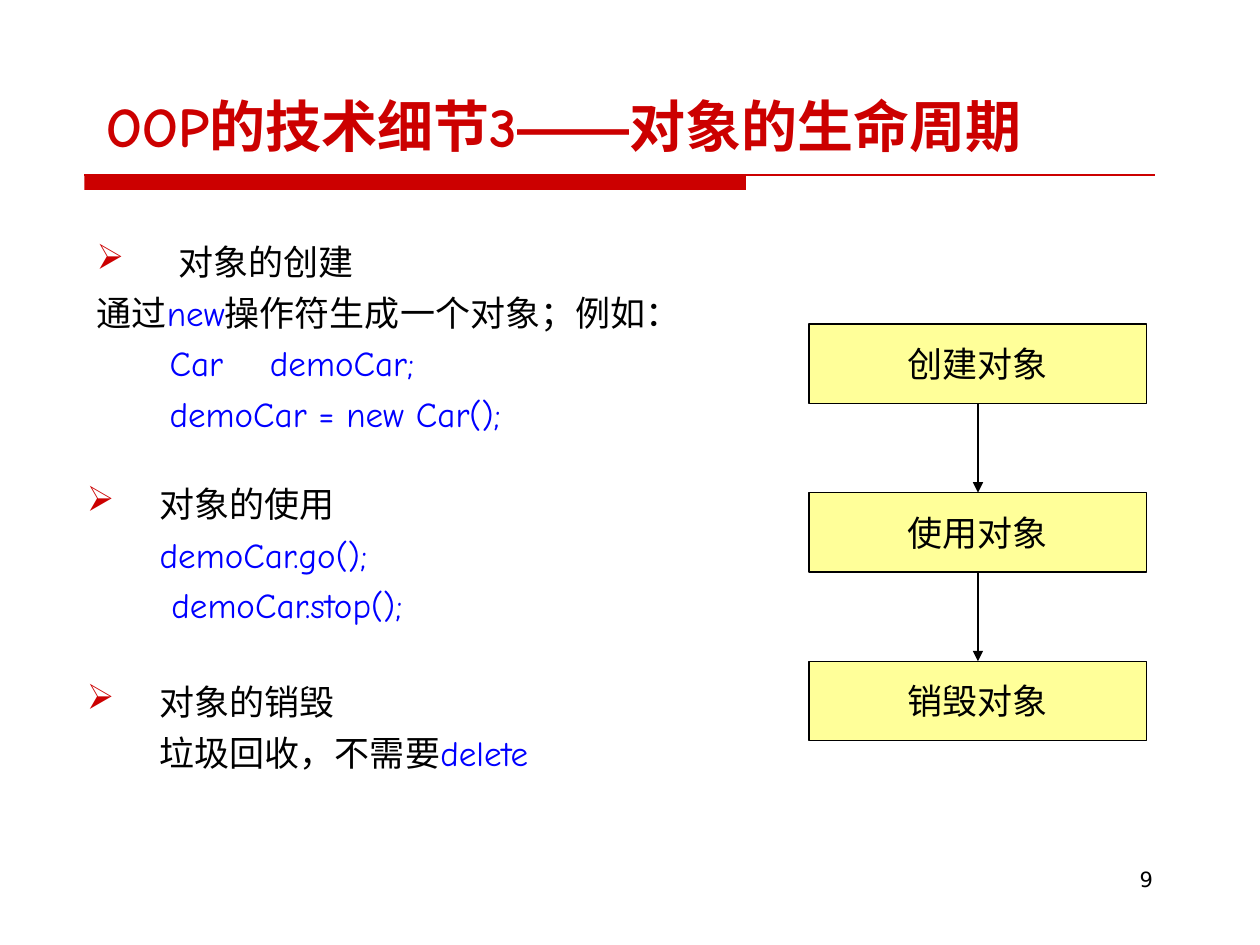
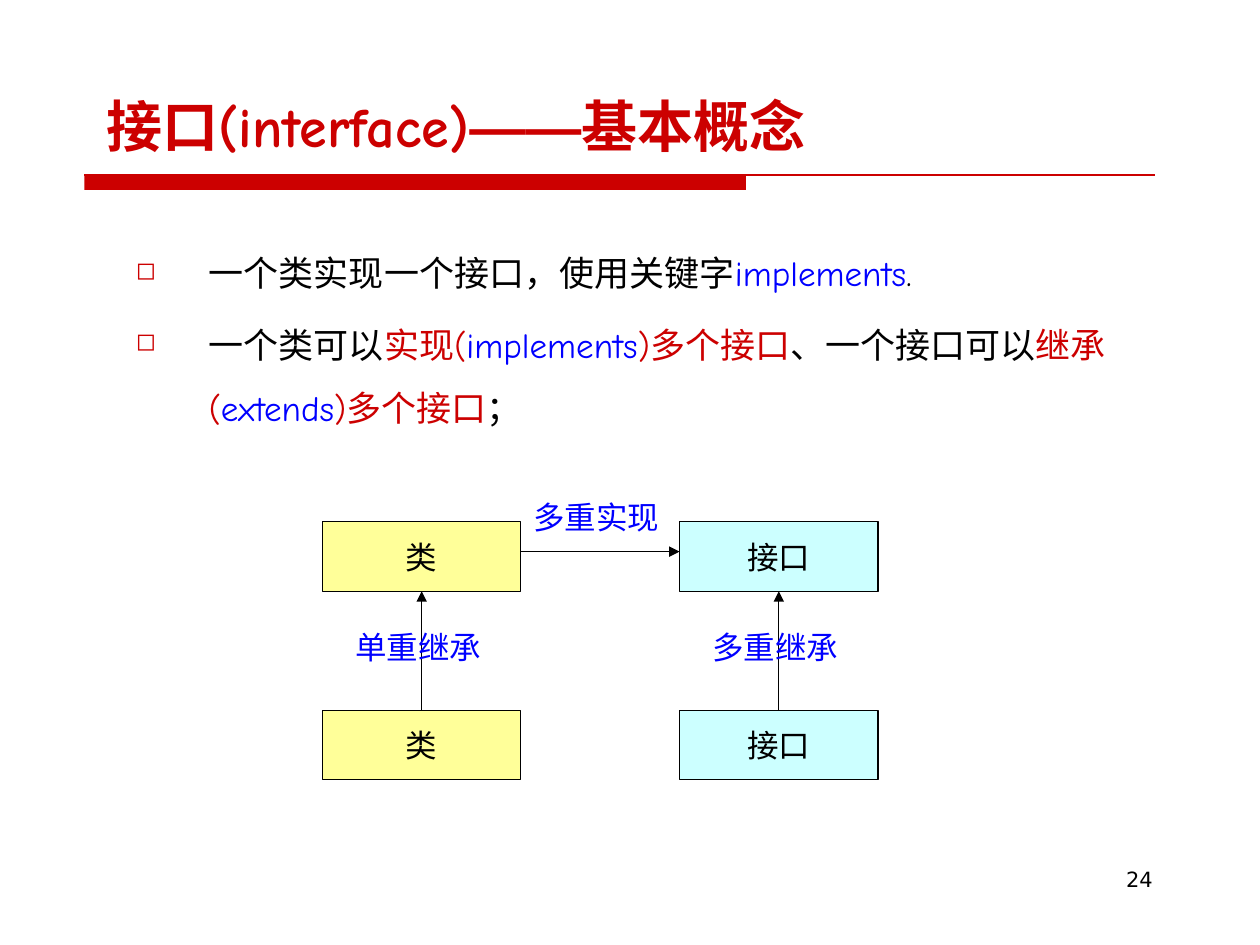
from dataclasses import dataclass

import pptx
import pptx.dml.color
import pptx.enum.lang
import pptx.enum.shapes
import pptx.enum.text
import pptx.oxml
import pptx.oxml.ns
import pptx.util

Cm = pptx.util.Cm
Pt = pptx.util.Pt
ALIGN = pptx.enum.text.PP_ALIGN
ANCHOR = pptx.enum.text.MSO_ANCHOR

RED, BLUE, BLACK = "CC0000", "0000FF", "000000"
YELLOW, CYAN = "FFFF99", "CCFFFF"
BODY_FONT, DASH_FONT, LABEL_FONT = "Comic Neue", "Arial", "DejaVu Sans"
TOP, LEFT, BOTTOM, RIGHT = range(4)
INDENT = 1.47


@dataclass
class Box:
    left: float
    top: float
    width: float
    height: float

    def inner(self, left, top, width, height):
        return Box(self.left + left, self.top + top, width, height)

    def lengths(self):
        return [Cm(n) for n in (self.left, self.top, self.width, self.height)]


def color(value):
    return pptx.dml.color.RGBColor.from_string(value)


def add_xml(parent, tag, **attributes):
    element = pptx.oxml.ns.qn(tag)
    child = parent.makeelement(element, attributes)
    parent.append(child)
    return child


def add_span(para, text, *, size=20, font=BODY_FONT, ink=BLACK, bold=False):
    span = para.add_run()
    span.text = text
    span.font.size = Pt(size)
    span.font.name = font
    span.font.bold = bold
    span.font.color.rgb = color(ink)
    span.font.language_id = pptx.enum.lang.MSO_LANGUAGE_ID.SIMPLIFIED_CHINESE


def add_text_box(page, box, anchor=ANCHOR.TOP):
    frame = page.shapes.add_textbox(*box.lengths()).text_frame
    frame.word_wrap = True
    frame.vertical_anchor = anchor
    return frame


def add_label(page, box, text, *, align=ALIGN.LEFT, **style):
    para = add_text_box(page, box).paragraphs[0]
    para.alignment = align
    add_span(para, text, font=LABEL_FONT, **style)


def set_bullet(para, symbol, indent, size):
    properties = para._p.get_or_add_pPr()
    properties.set("marL", str(Cm(indent)))
    properties.set("indent", str(-Cm(indent)))
    ink = add_xml(properties, "a:buClr")
    add_xml(ink, "a:srgbClr", val=RED)
    add_xml(properties, "a:buSzPct", val=str(size * 1000))
    add_xml(properties, "a:buChar", char=symbol)


def add_paragraph(frame, spans, *, first, bullet=None, indent=0.0, bullet_size=100, spacing=None):
    para = frame.paragraphs[0] if first else frame.add_paragraph()
    if bullet:
        set_bullet(para, bullet, indent, bullet_size)
    else:
        para._p.get_or_add_pPr().set("marL", str(Cm(indent)))
    if not first:
        para.space_before = Pt(5)
    if spacing:
        para.line_spacing = spacing
    for text, ink in spans:
        add_span(para, text, ink=ink)


def add_topic(page, box, heading, lines, heading_indent=INDENT):
    frame = add_text_box(page, box)
    add_paragraph(frame, [(heading, BLACK)], first=True, bullet="➢", indent=heading_indent)
    for indent, spans in lines:
        add_paragraph(frame, spans, first=False, indent=indent)


def add_points(page, box, points):
    frame = add_text_box(page, box)
    for index, spans in enumerate(points):
        add_paragraph(frame, spans, first=index == 0, bullet="◻", indent=INDENT,
                      bullet_size=70, spacing=1.5)


def add_node(page, box, text, *, fill, size):
    node = page.shapes.add_shape(pptx.enum.shapes.MSO_SHAPE.RECTANGLE, *box.lengths())
    node.shadow.inherit = False
    node.fill.solid()
    node.fill.fore_color.rgb = color(fill)
    node.line.color.rgb = color(BLACK)
    node.line.width = Pt(0.75)
    frame = node.text_frame
    frame.word_wrap = False
    frame.vertical_anchor = ANCHOR.MIDDLE
    para = frame.paragraphs[0]
    para.alignment = ALIGN.CENTER
    add_span(para, text, size=size, font=LABEL_FONT)
    return node


def add_line(page, start=(0, 0), end=(0, 0), *, ink=BLACK, arrow=True):
    points = [Cm(n) for n in (*start, *end)]
    line = page.shapes.add_connector(pptx.enum.shapes.MSO_CONNECTOR.STRAIGHT, *points)
    line.line.color.rgb = color(ink)
    line.line.width = Pt(0.75)
    if arrow:
        add_xml(line.line._get_or_add_ln(), "a:tailEnd", type="triangle")
    add_xml(line._element.spPr, "a:effectLst")
    return line


def join(page, source, source_side, target, target_side):
    line = add_line(page)
    line.begin_connect(source, source_side)
    line.end_connect(target, target_side)


def add_title(page, box, spans):
    para = add_text_box(page, box, ANCHOR.BOTTOM).paragraphs[0]
    for text, font in spans:
        add_span(para, text, size=32, font=font, ink=RED, bold=True)


def add_band(page, box):
    band = page.shapes.add_shape(pptx.enum.shapes.MSO_SHAPE.RECTANGLE,
                                 *box.inner(0, 0, 13.34, box.height).lengths())
    band.shadow.inherit = False
    band.fill.solid()
    band.fill.fore_color.rgb = color(RED)
    band.line.fill.background()
    add_line(page, (box.left, box.top), (box.left + box.width, box.top), ink=RED, arrow=False)


def add_page(deck, title, number):
    page = deck.slides.add_slide(deck.slide_layouts[6])
    add_band(page, Box(1.7, 3.53, 21.59, 0.3))
    add_label(page, Box(18.21, 17.35, 5.28, 1.27), number, size=12, align=ALIGN.RIGHT)
    add_title(page, Box(1.9, 1.12, 21.59, 2.21), title)
    return page


def add_life_cycle(page, box, steps):
    height = 1.6
    pitch = (box.height - height) / (len(steps) - 1)
    nodes = [add_node(page, box.inner(0, index * pitch, box.width, height), step,
                      fill=YELLOW, size=20)
             for index, step in enumerate(steps)]
    for upper, lower in zip(nodes, nodes[1:]):
        join(page, upper, BOTTOM, lower, TOP)


def add_inheritance(page, box):
    width, height = 4.0, 1.4
    column_pitch, row_pitch = box.width - width, box.height - height
    columns = [("类", YELLOW, "单重继承"), ("接口", CYAN, "多重继承")]
    for index, (name, fill, relation) in enumerate(columns):
        left = index * column_pitch
        parent, child = [add_node(page, box.inner(left, top, width, height), name,
                                  fill=fill, size=18)
                         for top in (0, row_pitch)]
        join(page, child, TOP, parent, BOTTOM)
        add_label(page, box.inner(left + 0.41, 2.01, 3.2, 1.02), relation, size=18, ink=BLUE)
    arrow_top = box.top + 0.6
    add_line(page, (box.left + width, arrow_top), (box.left + column_pitch, arrow_top))
    add_label(page, box.inner(width, -0.6, 3.2, 1.02), "多重实现", size=18, ink=BLUE)


def build_life_cycle_page(deck):
    title = [("OOP的技术细节3", BODY_FONT), ("——", DASH_FONT), ("对象的生命周期", BODY_FONT)]
    page = add_page(deck, title, "9")
    add_life_cycle(page, Box(16.31, 6.53, 6.81, 8.4), ["创建对象", "使用对象", "销毁对象"])
    add_topic(page, Box(1.7, 4.72, 13, 4.17), "对象的创建", [
        (0, [("通过", BLACK), ("new", BLUE), ("操作符生成一个对象；例如：", BLACK)]),
        (INDENT, [("Car    demoCar;", BLUE)]),
        (INDENT, [("demoCar = new Car();", BLUE)]),
    ], heading_indent=1.64)
    add_topic(page, Box(1.5, 9.6, 13, 3.15), "对象的使用", [
        (INDENT, [("demoCar.go();", BLUE)]),
        (INDENT, [(" demoCar.stop();", BLUE)]),
    ])
    add_topic(page, Box(1.5, 13.59, 13, 2.13), "对象的销毁", [
        (INDENT, [("垃圾回收，不需要", BLACK), ("delete", BLUE)]),
    ])


def build_interface_page(deck):
    title = [("接口(interface)", BODY_FONT), ("——", DASH_FONT), ("基本概念", BODY_FONT)]
    page = add_page(deck, title, "24")
    add_points(page, Box(2.49, 4.52, 21, 4.24), [
        [("一个类实现一个接口，使用关键字", BLACK), ("implements", BLUE), (".", BLACK)],
        [("一个类可以", BLACK), ("实现(", RED), ("implements", BLUE), (")多个接口", RED),
         ("、一个接口可以", BLACK), ("继承(", RED), ("extends", BLUE), (")多个接口", RED),
         ("；", BLACK)],
    ])
    add_inheritance(page, Box(6.5, 10.52, 11.2, 5.2))


def main():
    deck = pptx.Presentation()
    deck.slide_width, deck.slide_height = Cm(25.4), Cm(19.05)
    build_life_cycle_page(deck)
    build_interface_page(deck)
    deck.save("out.pptx")


if __name__ == "__main__":
    main()
